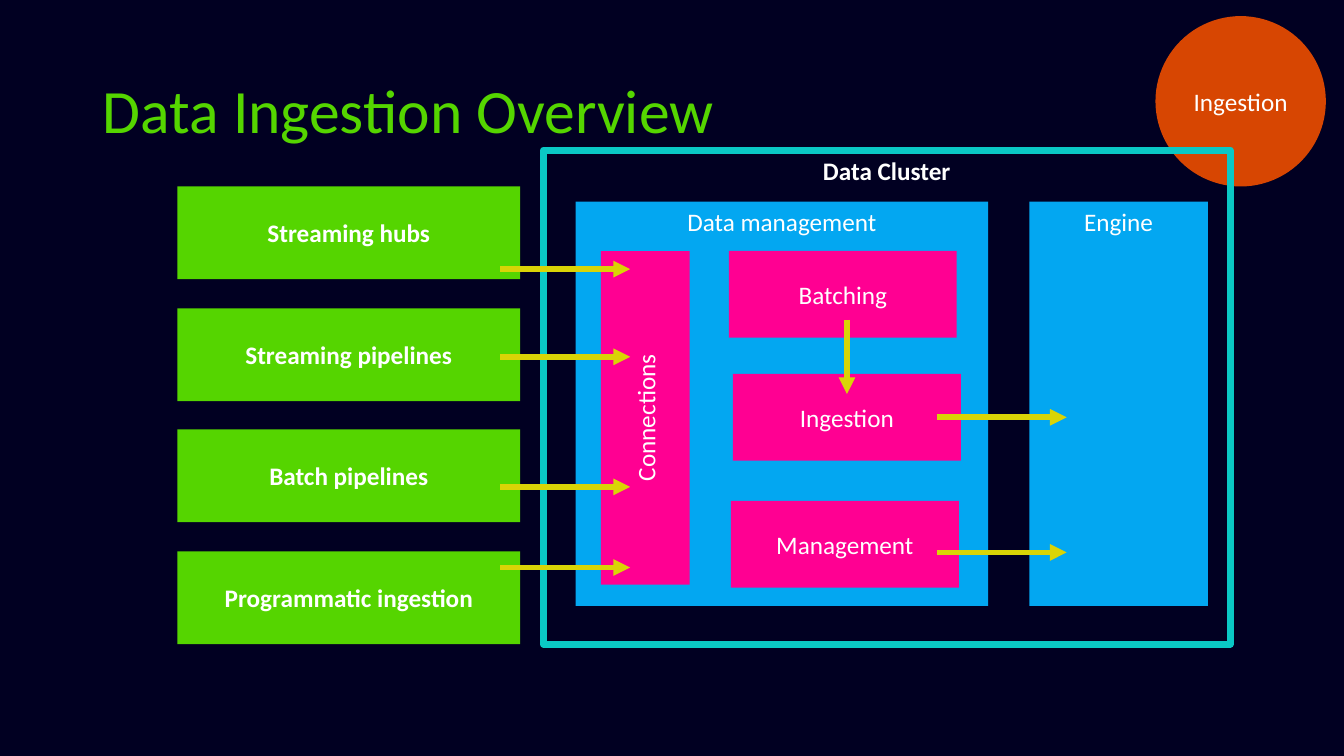
from dataclasses import dataclass

from lxml.etree import SubElement
from pptx import Presentation
from pptx.dml.color import RGBColor
from pptx.enum.shapes import MSO_CONNECTOR as Connector, MSO_SHAPE as Preset
from pptx.enum.text import MSO_ANCHOR as Anchor, MSO_AUTO_SIZE as AutoSize, PP_ALIGN as Align
from pptx.oxml.ns import qn
from pptx.slide import Slide
from pptx.text.text import TextFrame
from pptx.util import Emu, Pt

PX = 9144  # 100 px to the inch
FONT = "Calibri"
COLORS = {
    "night": "010022",
    "green": "55D500",
    "orange": "D74602",
    "teal": "0AC8C5",
    "blue": "03A7F1",
    "pink": "FF0092",
    "yellow": "D9D406",
    "white": "FFFFFF",
}


@dataclass(frozen=True)
class Box:
    label: str
    left: int
    top: int
    width: int
    height: int
    fill: str = ""
    outline: str = ""
    bold: bool = False
    anchor: Anchor = Anchor.MIDDLE
    preset: Preset = Preset.RECTANGLE
    upward: bool = False


@dataclass(frozen=True)
class Arrow:
    x1: int
    y1: int
    x2: int
    y2: int


# Sources on the left, evenly stacked
SOURCE_NAMES = ["Streaming hubs", "Streaming pipelines", "Batch pipelines", "Programmatic ingestion"]
SOURCES = [
    Box(name, 176, round(185 + 120.6 * row), 340, 92, "green", bold=True)
    for row, name in enumerate(SOURCE_NAMES)
]

# Topic badge, cluster frame and its two services
BADGE = Box("Ingestion", 1146, 16, 169, 169, "orange", preset=Preset.OVAL)
CLUSTER = Box("Data Cluster", 539, 149, 681, 490, outline="teal", bold=True, anchor=Anchor.TOP)
SERVICES = [
    Box(name, left, 200, width, 401, "blue", anchor=Anchor.TOP)
    for name, left, width in [("Data management", 571, 409), ("Engine", 1021, 177)]
]

# Parts of data management
CONNECTIONS = Box("Connections", 596, 249, 88, 331, "pink", upward=True)
STAGES = [
    Box(name, left, top, 226, 86, "pink")
    for name, left, top in [("Batching", 723, 249), ("Ingestion", 727, 371), ("Management", 725, 497)]
]

# Flow: sources to connections, batching to ingestion, stages to engine
ARROWS = [
    *(Arrow(496, y, 625, y) for y in (267, 354, 483, 563)),
    Arrow(840, 317, 840, 391),
    *(Arrow(929, y, 1058, y) for y in (414, 548)),
]


def px(length: int) -> Emu:
    return Emu(length * PX)


def color(name: str) -> RGBColor:
    return RGBColor.from_string(COLORS[name])


def write(frame: TextFrame, text: str, size: int, ink: str, align: Align, bold: bool = False) -> None:
    para = frame.paragraphs[0]
    para.alignment = align
    span = para.add_run()
    span.text = text
    span.font.name = FONT
    span.font.size = Pt(size)
    span.font.bold = bold
    span.font.color.rgb = color(ink)


def add_title(page: Slide, text: str) -> None:
    title = page.shapes.title
    title.left, title.top, title.width, title.height = px(92), px(40), px(1150), px(145)
    frame = title.text_frame
    frame.word_wrap = True
    frame.auto_size = AutoSize.NONE
    frame.vertical_anchor = Anchor.MIDDLE
    write(frame, text, 44, "green", Align.LEFT)
    frame.paragraphs[0].line_spacing = 0.9


def add_box(page: Slide, box: Box) -> None:
    shape = page.shapes.add_shape(box.preset, px(box.left), px(box.top), px(box.width), px(box.height))
    shape.shadow.inherit = False
    if box.fill:
        shape.fill.solid()
        shape.fill.fore_color.rgb = color(box.fill)
    else:
        shape.fill.background()
    if box.outline:
        shape.line.color.rgb = color(box.outline)
        shape.line.width = Pt(5)
    else:
        shape.line.fill.background()
    frame = shape.text_frame
    frame.word_wrap = True
    frame.vertical_anchor = box.anchor
    write(frame, box.label, 18, "white", Align.CENTER, box.bold)
    if box.upward:
        shape.element.txBody.find(qn("a:bodyPr")).set("vert", "vert270")


def add_arrow(page: Slide, arrow: Arrow) -> None:
    line = page.shapes.add_connector(
        Connector.STRAIGHT, px(arrow.x1), px(arrow.y1), px(arrow.x2), px(arrow.y2)
    )
    line.line.color.rgb = color("yellow")
    line.line.width = Pt(4)
    properties = line.element.spPr
    SubElement(properties.find(qn("a:ln")), qn("a:tailEnd"), type="triangle")
    SubElement(properties, qn("a:effectLst"))


def main() -> None:
    deck = Presentation()
    deck.slide_width, deck.slide_height = px(1333), px(750)
    page = deck.slides.add_slide(deck.slide_layouts.get_by_name("Title Only"))
    page.background.fill.solid()
    page.background.fill.fore_color.rgb = color("night")

    add_title(page, "Data Ingestion Overview")
    for box in [*SOURCES, BADGE, CLUSTER, *SERVICES, CONNECTIONS, *STAGES]:
        add_box(page, box)
    for arrow in ARROWS:
        add_arrow(page, arrow)
    deck.save("out.pptx")


if __name__ == "__main__":
    main()
